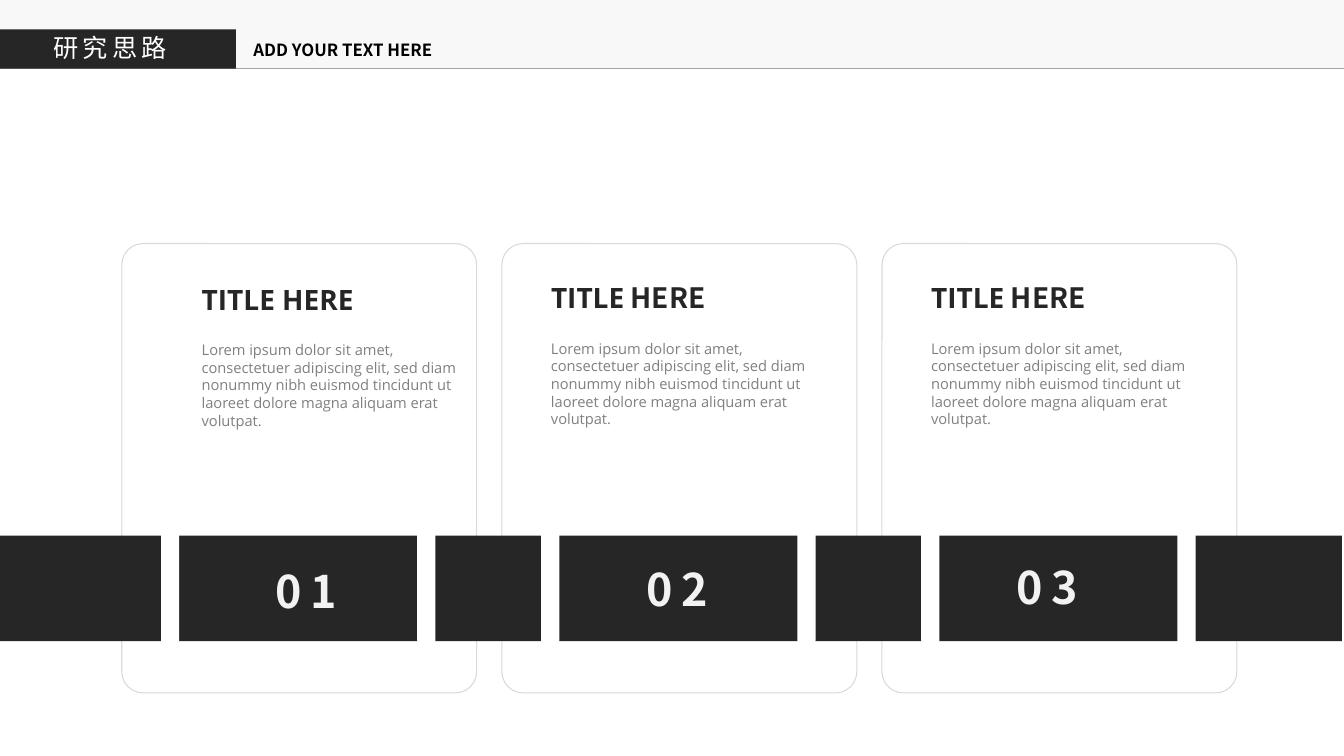
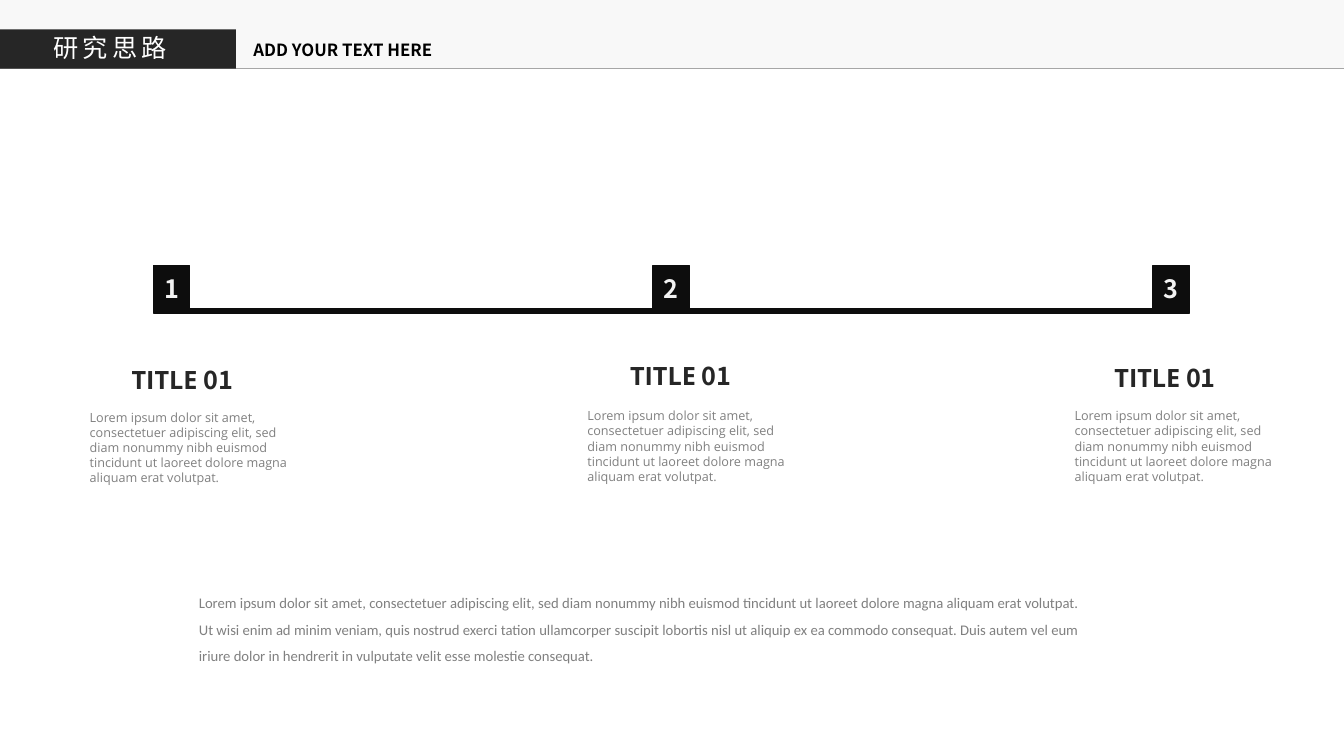
from lxml.etree import SubElement
from pptx import Presentation
from pptx.dml.color import RGBColor
from pptx.enum.shapes import MSO_CONNECTOR, MSO_SHAPE
from pptx.enum.text import MSO_ANCHOR, MSO_AUTO_SIZE, PP_ALIGN
from pptx.oxml.ns import qn
from pptx.util import Pt

COLOURS = {
    "white": "FFFFFF", "black": "000000", "pale": "F2F2F2", "border": "D9D9D9",
    "rule": "A6A6A6", "grey": "808080", "dark": "262626", "ink": "0D0D0D",
}
SANS = "Open Sans"
CJK = "Noto Sans CJK SC"
LOREM = (
    "Lorem ipsum dolor sit amet, consectetuer adipiscing elit, sed diam nonummy "
    "nibh euismod tincidunt ut laoreet dolore magna aliquam erat volutpat."
)
SUMMARY = LOREM + (
    " Ut wisi enim ad minim veniam, quis nostrud exerci tation ullamcorper suscipit "
    "lobortis nisl ut aliquip ex ea commodo consequat. Duis autem vel eum iriure "
    "dolor in hendrerit in vulputate velit esse molestie consequat."
)
WIDTH = 960
HEADER_BOTTOM = 49


def draw(page, kind, left, top, width, height, fill=None, line=None, weight=0.75):
    shape = page.shapes.add_shape(kind, Pt(left), Pt(top), Pt(width), Pt(height))
    shape.shadow.inherit = False
    if fill:
        shape.fill.solid()
        shape.fill.fore_color.rgb = RGBColor.from_string(COLOURS[fill])
    else:
        shape.fill.background()
    if line:
        shape.line.color.rgb = RGBColor.from_string(COLOURS[line])
        shape.line.width = Pt(weight)
    else:
        shape.line.fill.background()
    return shape


def write(box, pieces, size, colour, bold=False, tracking=0, align=PP_ALIGN.LEFT):
    frame = box.text_frame
    frame.word_wrap = True
    frame.auto_size = MSO_AUTO_SIZE.NONE
    frame.vertical_anchor = MSO_ANCHOR.TOP
    para = frame.paragraphs[0]
    para.alignment = align
    for text, font in pieces:
        span = para.add_run()
        span.text = text
        span.font.size = Pt(size)
        span.font.bold = bold
        span.font.color.rgb = RGBColor.from_string(COLOURS[colour])
        span.font.name = font
    for properties in box.element.iter(qn("a:rPr")):
        typeface = properties.find(qn("a:latin")).get("typeface")
        SubElement(properties, qn("a:ea")).set("typeface", typeface)
        if tracking:
            properties.set("spc", str(tracking * 100))
    return para


deck = Presentation()
deck.slide_width = Pt(WIDTH)
deck.slide_height = Pt(540)
layout = deck.slide_layouts[5]
cards_page = deck.slides.add_slide(layout)
timeline_page = deck.slides.add_slide(layout)

header = draw(cards_page, MSO_SHAPE.RECTANGLE, 0, 0, WIDTH, HEADER_BOTTOM, "pale")
tint = next(header.element.iter(qn("a:srgbClr")))
SubElement(tint, qn("a:alpha")).set("val", "50000")
rule = cards_page.shapes.add_connector(
    MSO_CONNECTOR.STRAIGHT, 0, Pt(HEADER_BOTTOM), Pt(WIDTH), Pt(HEADER_BOTTOM))
rule.line.color.rgb = RGBColor.from_string(COLOURS["rule"])
rule.line.width = Pt(0.5)
SubElement(rule.element.spPr, qn("a:effectLst"))
tab = draw(cards_page, MSO_SHAPE.RECTANGLE, 0, 21, 168.5, 28, "dark")
for number, part in enumerate((header, rule, tab)):
    next(part.element.iter(qn("p:cNvPr"))).set("id", str(20 + number))
    layout.shapes.element.insert(2 + number, part.element)

for page in (cards_page, timeline_page):
    title = page.shapes.title
    title.left, title.top, title.width, title.height = Pt(31), Pt(19.5), Pt(117), Pt(29)
    write(title, [("研究思路", CJK)], 18, "white", tracking=3)
    subtitle = page.shapes.add_textbox(Pt(174), Pt(25), Pt(221), Pt(22))
    write(subtitle, [("ADD YOUR TEXT HERE", CJK)], 12, "black", bold=True)

CARD_PITCH = 271.5
for index in range(3):
    card = draw(cards_page, MSO_SHAPE.ROUNDED_RECTANGLE,
                87 + index * CARD_PITCH, 174, 253.5, 321, line="border")
    card.adjustments[0] = 0.06

draw(cards_page, MSO_SHAPE.RECTANGLE, 0, 382.5, 958.5, 75.5, "dark")
for index in range(3):
    for first_left in (115, 298):
        gap = draw(cards_page, MSO_SHAPE.ROUNDED_RECTANGLE,
                   first_left + index * CARD_PITCH, 373, 13, 91, "white")
        gap.adjustments[0] = 0.5

cards = [
    (137, 198, [("TITLE HERE", SANS)]),
    (386.5, 197, [("TITLE", SANS), (" HERE", CJK)]),
    (658, 197, [("TITLE", SANS), (" HERE", CJK)]),
]
for index, (left, top, heading) in enumerate(cards):
    box = cards_page.shapes.add_textbox(
        Pt(190 + index * 264.6), Pt(399 - index * 1.5), Pt(70.5), Pt(46))
    write(box, [(f"0{index + 1}", CJK)], 32, "pale", bold=True, tracking=6)
    box = cards_page.shapes.add_textbox(Pt(left), Pt(top), Pt(229), Pt(31.5))
    write(box, heading, 20, "dark", bold=True)
    box = cards_page.shapes.add_textbox(Pt(left), Pt(top + 42), Pt(196.5), Pt(70.5))
    write(box, [(LOREM, SANS)], 10.5, "grey")

draw(timeline_page, MSO_SHAPE.RECTANGLE, 109.5, 220.5, 740, 3, "ink", "ink", 1)
steps = [(57, 289, 87, 257), (412.5, 288, 443, 253.5), (760.5, 288, 789, 255.5)]
for index, (body_left, body_top, heading_left, heading_top) in enumerate(steps):
    marker = draw(timeline_page, MSO_SHAPE.RECTANGLE,
                  109.5 + index * 357, 189.5, 26, 32.5, "ink", "ink", 1)
    write(marker, [(str(index + 1), CJK)], 18, "pale", bold=True, align=PP_ALIGN.CENTER)
    marker.text_frame.vertical_anchor = MSO_ANCHOR.MIDDLE
    marker.text_frame.margin_left = marker.text_frame.margin_right = 0
    box = timeline_page.shapes.add_textbox(
        Pt(heading_left), Pt(heading_top), Pt(135.5), Pt(29))
    write(box, [("TITLE", SANS), (" 01", CJK)], 18, "dark", bold=True)
    box = timeline_page.shapes.add_textbox(Pt(body_left), Pt(body_top), Pt(160), Pt(62))
    write(box, [(LOREM, SANS)], 9, "grey")

box = timeline_page.shapes.add_textbox(Pt(135), Pt(414.5), Pt(643), Pt(65))
para = write(box, [(SUMMARY, "Calibri")], 10.5, "grey", align=PP_ALIGN.JUSTIFY)
para.line_spacing = 1.5

deck.save("out.pptx")
